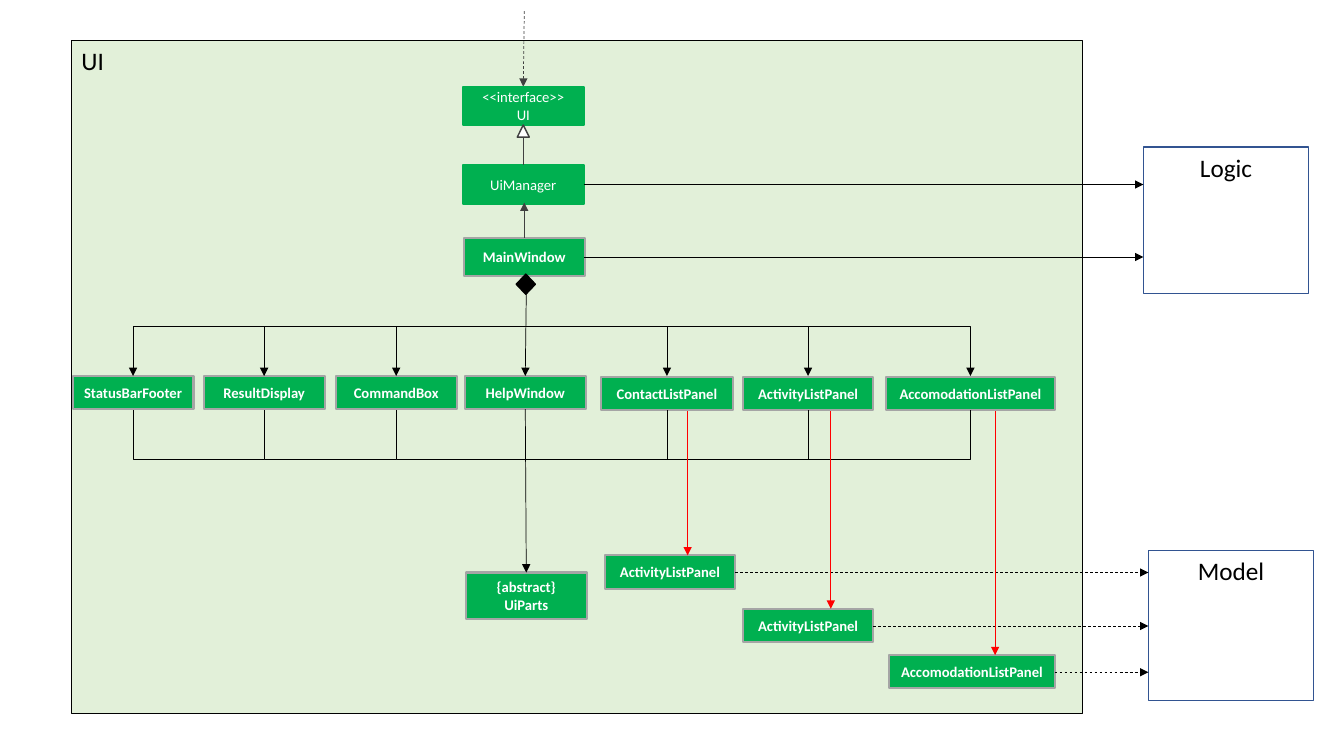
"""Build the UI component class diagram slide."""
from lxml import etree
from pptx import Presentation
from pptx.dml.color import RGBColor
from pptx.enum.dml import MSO_LINE
from pptx.enum.shapes import MSO_CONNECTOR, MSO_SHAPE
from pptx.enum.text import MSO_ANCHOR, PP_ALIGN
from pptx.oxml.ns import qn
from pptx.util import Inches, Pt

RECT, TRIANGLE, DIAMOND = MSO_SHAPE.RECTANGLE, MSO_SHAPE.ISOSCELES_TRIANGLE, MSO_SHAPE.DIAMOND
STRAIGHT, ELBOW, DASH = MSO_CONNECTOR.STRAIGHT, MSO_CONNECTOR.ELBOW, MSO_LINE.DASH
TOP, MIDDLE = MSO_ANCHOR.TOP, MSO_ANCHOR.MIDDLE
LEFT, CENTER = PP_ALIGN.LEFT, PP_ALIGN.CENTER
C = {"black": "000000", "white": "FFFFFF", "panel": "E2F0D9", "green": "00B050",
     "gray": "A5A5A5", "dark": "404040", "blue": "325491", "red": "FF0000"}

prs = Presentation()
prs.slide_width, prs.slide_height = Inches(13.33), Inches(7.5)
s = prs.slides.add_slide(prs.slide_layouts[6])


def add_box(text, x, y, w, h, kind=RECT, fill="green", line="gray", weight=1.5,
            size=10.5, color="white", bold=True, align=CENTER, anchor=MIDDLE):
    sp = s.shapes.add_shape(kind, Inches(x), Inches(y), Inches(w), Inches(h))
    sp.shadow.inherit = False
    sp.fill.solid()
    sp.fill.fore_color.rgb = RGBColor.from_string(C[fill])
    sp.line.color.rgb = RGBColor.from_string(C[line])
    sp.line.width = Pt(weight)
    tf = sp.text_frame
    tf.vertical_anchor = anchor
    for i, row in enumerate(text.split("\n") if text else []):
        p = tf.add_paragraph() if i else tf.paragraphs[0]
        p.alignment = align
        r = p.add_run()
        r.text = row
        r.font.name, r.font.size, r.font.bold = "Calibri", Pt(size), bold
        r.font.color.rgb = RGBColor.from_string(C[color])


def add_line(x1, y1, x2, y2, color="black", kind=STRAIGHT, dash=None, arrow=True):
    c = s.shapes.add_connector(kind, Inches(x1), Inches(y1), Inches(x2), Inches(y2))
    c.line.color.rgb = RGBColor.from_string(C[color])
    c.line.width = Pt(0.5)
    if dash:
        c.line.dash_style = dash
    pr = c._element.spPr
    if kind == ELBOW:
        pr.find(qn("a:prstGeom")).set("prst", "bentConnector2")
    if arrow:
        etree.SubElement(pr.find(qn("a:ln")), qn("a:tailEnd"), type="triangle")
    etree.SubElement(pr, qn("a:effectLst"))


add_box("UI", 0.71, 0.4, 10.03, 6.68, fill="panel", line="black", weight=1,
        size=18, color="black", bold=False, align=LEFT, anchor=TOP)
for name, x, y, w, h in [("Logic", 11.34, 1.46, 1.64, 1.45), ("Model", 11.39, 5.46, 1.64, 1.49)]:
    add_box(name, x, y, w, h, fill="white", line="blue", weight=1,
            size=18, color="black", bold=False, anchor=TOP)

add_line(5.2, 0.11, 5.19, 0.86, color="dark", dash=DASH)
for name, y in [("<<interface>>\nUI", 0.86), ("UiManager", 1.64)]:
    add_box(name, 4.59, y, 1.2, 0.38, line="green", bold=False)
add_box("MainWindow", 4.6, 2.36, 1.2, 0.38)
add_box("{abstract}\nUiParts", 4.62, 5.68, 1.2, 0.46)
add_box("", 5.13, 1.24, 0.12, 0.12, kind=TRIANGLE, fill="white", line="dark", weight=1)
add_line(5.19, 1.36, 5.19, 1.64, color="dark", arrow=False)
add_line(5.2, 2.36, 5.2, 2.01, color="dark")
for y in (1.83, 2.55):
    add_line(5.79, y, 11.34, y)

parts = [("StatusBarFooter", 0.72, 3.73, 1.2), ("ResultDisplay", 2.02, 3.73, 1.2),
         ("CommandBox", 3.33, 3.73, 1.2), ("HelpWindow", 4.61, 3.73, 1.2),
         ("ContactListPanel", 5.96, 3.74, 1.31), ("ActivityListPanel", 7.37, 3.74, 1.29),
         ("AccomodationListPanel", 8.79, 3.74, 1.67)]
for name, x, y, w in parts:
    add_box(name, x, y, w, 0.33)

centers = [x + w / 2 for name, x, y, w in parts]
middle = len(parts) // 2
for i, x in enumerate(centers):
    if i != middle:
        inner = centers[i + 1 if i < middle else i - 1]
        add_line(inner, 3.24, x, 3.73, kind=ELBOW)
        add_line(inner, 4.56, x, 4.07, kind=ELBOW, arrow=False)

add_box("", 5.12, 2.72, 0.19, 0.2, kind=DIAMOND, fill="black", line="black", weight=1)
add_line(5.22, 2.92, 5.21, 3.73)
add_line(5.21, 4.06, 5.22, 5.68)

for name, x, y, w, drop in [("ActivityListPanel", 6, 5.51, 1.29, 6.82),
                            ("ActivityListPanel", 7.37, 6.04, 1.29, 8.24),
                            ("AccomodationListPanel", 8.82, 6.5, 1.64, 9.87)]:
    add_box(name, x, y, w, 0.33)
    add_line(drop, 4.08, drop, y, color="red")
    add_line(x + w, y + 0.17, 11.39, y + 0.17, dash=DASH)

prs.save("out.pptx")
